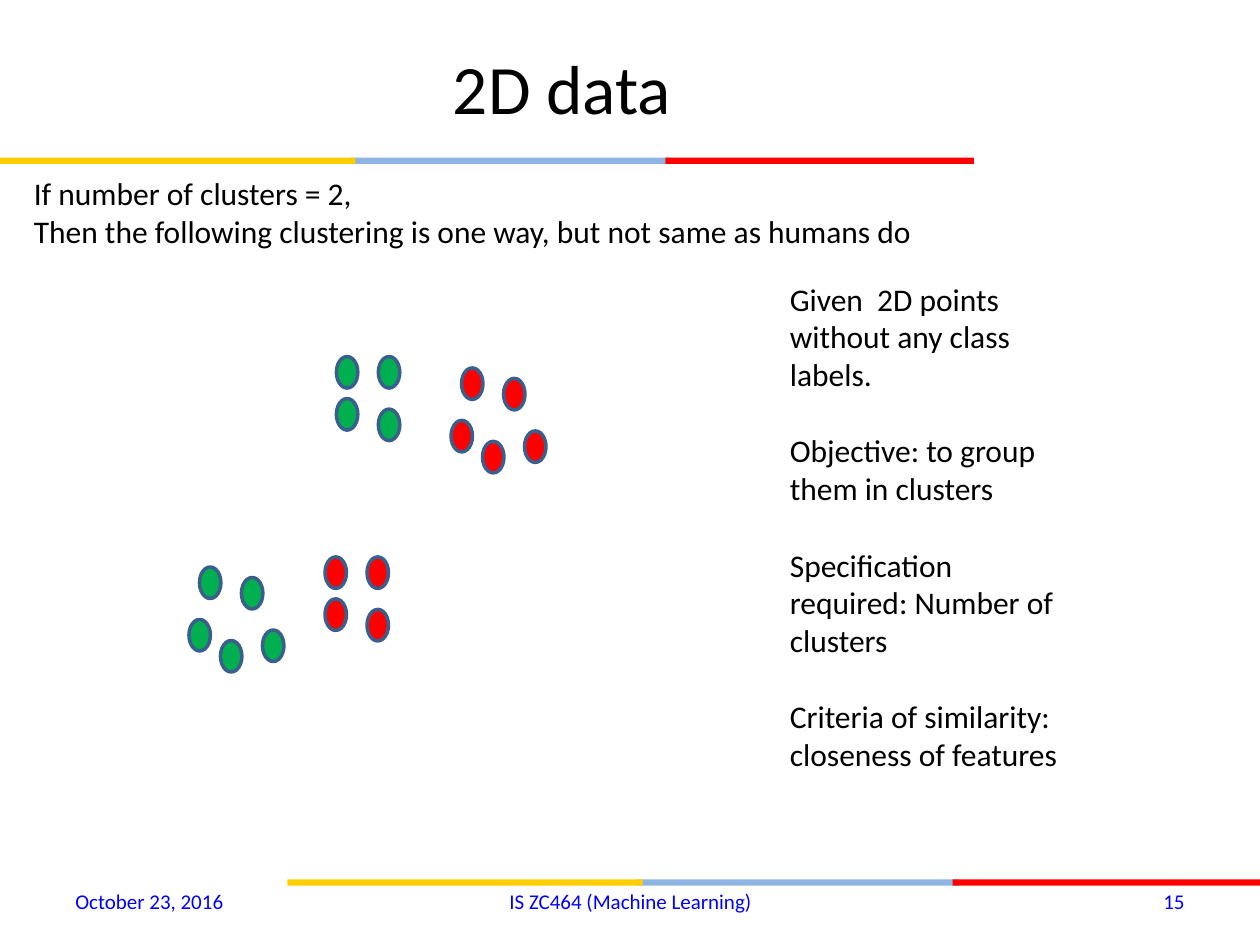
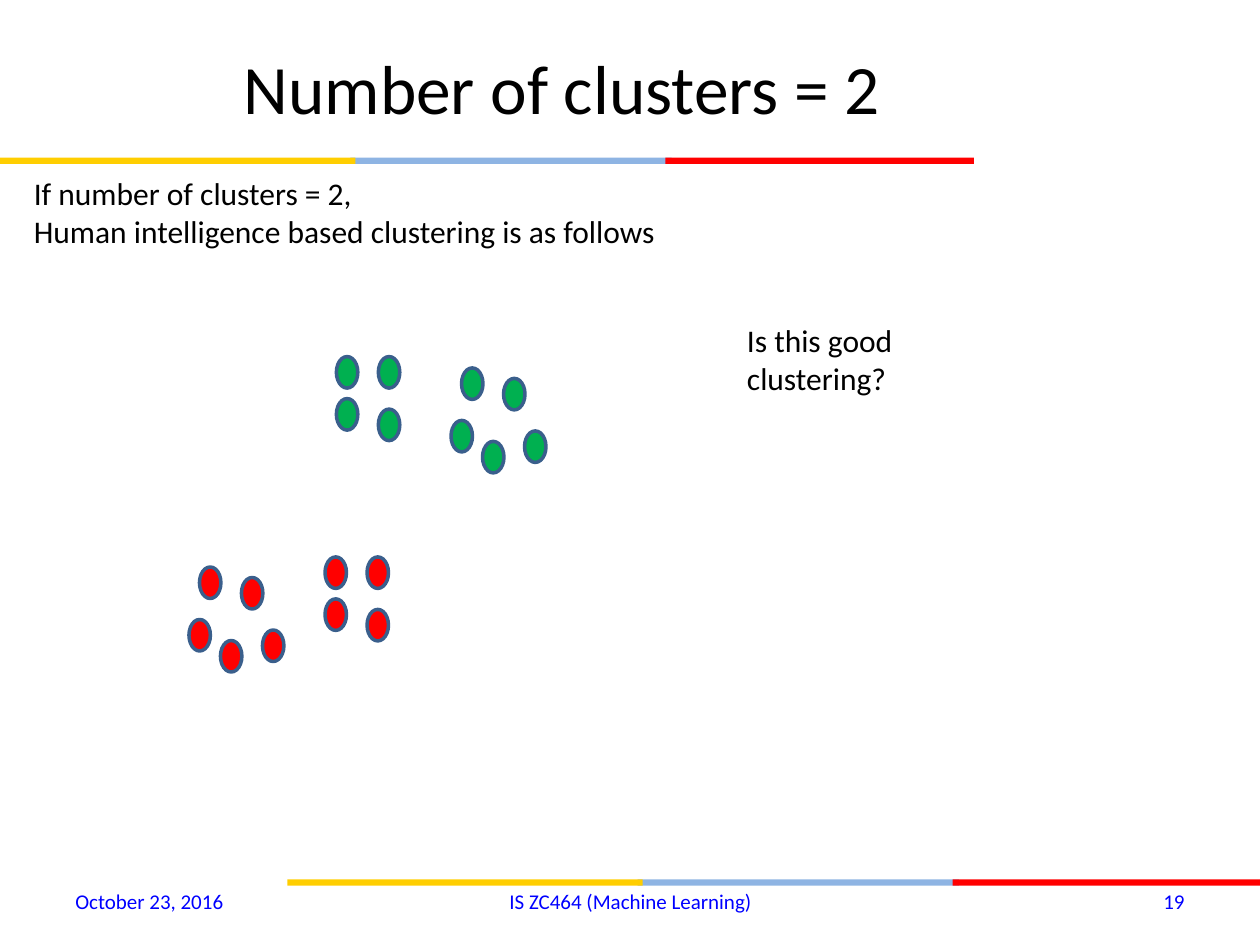
from pptx import Presentation
from pptx import util as u
from pptx.dml.color import RGBColor
from pptx.enum import shapes, text

FONT = "Calibri"
BLACK, FOOTER_BLUE = "000000", "0000FF"
YELLOW, SKY, RED = "FFCE00", "8EB4E3", "FF0000"
GREEN, OUTLINE = "00B050", "3A5F8C"
LEFT, CENTER, RIGHT = text.PP_ALIGN.LEFT, text.PP_ALIGN.CENTER, text.PP_ALIGN.RIGHT

# Offsets of the points in a cluster, in twelfths of an inch
SQUARE = [(0, 0), (4, 0), (0, 4), (4, 5)]
RING = [(0, 5), (1, 0), (5, 1), (3, 7), (7, 6)]
# Pattern and top left corner of each cluster
CLUSTERS = [(SQUARE, 2.67, 2.83), (RING, 3.58, 2.92),
            (SQUARE, 2.58, 4.42), (RING, 1.5, 4.5)]


def colour(value):
    return RGBColor.from_string(value)


def inches(*lengths):
    return [u.Inches(length) for length in lengths]


def write(frame, lines, size, shade=BLACK, align=LEFT, gap=0):
    """Fill a text frame with one paragraph per line, gap points apart."""
    for index, line in enumerate(lines):
        para = frame.paragraphs[0] if index == 0 else frame.add_paragraph()
        para.alignment = align
        if index and gap:
            para.space_before = u.Pt(gap)
        span = para.add_run()
        span.text = line
        span.font.name = FONT
        span.font.size = u.Pt(size)
        span.font.color.rgb = colour(shade)


def add_text(page, area, lines, size=18, wrap=True,
             anchor=text.MSO_ANCHOR.TOP, **style):
    frame = page.shapes.add_textbox(*inches(*area)).text_frame
    frame.word_wrap = wrap
    frame.vertical_anchor = anchor
    write(frame, lines, size, **style)


def add_solid(parent, kind, area, fill):
    """Add a filled shape without line or shadow to a page or group."""
    shape = parent.shapes.add_shape(kind, *inches(*area))
    shape.shadow.inherit = False
    shape.fill.solid()
    shape.fill.fore_color.rgb = colour(fill)
    shape.line.fill.background()
    return shape


def add_band(page, left, top):
    for offset, width, fill in [(2.78, 2.55, SKY), (5.28, 2.45, RED), (0, 2.82, YELLOW)]:
        add_solid(page, shapes.MSO_SHAPE.RECTANGLE,
                  (left + offset, top, width, 0.05), fill)


def add_title(page, title):
    box = page.shapes.title
    box.left, box.top, box.width, box.height = inches(0.5, 0.3, 7.92, 0.78)
    frame = box.text_frame
    frame.auto_size = text.MSO_AUTO_SIZE.NONE
    frame.vertical_anchor = text.MSO_ANCHOR.MIDDLE
    write(frame, [title], 39.6, align=CENTER)


def add_footer(page, number):
    for left, width, words, align in [
            (0.5, 2.33, "October 23, 2016", LEFT),
            (3.42, 3.17, "IS ZC464 (Machine Learning)", CENTER),
            (7.17, 2.33, str(number), RIGHT)]:
        add_text(page, (left, 6.95, width, 0.4), [words], size=12,
                 anchor=text.MSO_ANCHOR.MIDDLE, shade=FOOTER_BLUE, align=align)


def add_cluster(page, pattern, left, top, fill):
    group = page.shapes.add_group_shape()
    for across, down in pattern:
        area = (left + across / 12, top + down / 12, 0.17, 0.25)
        point = add_solid(group, shapes.MSO_SHAPE.OVAL, area, fill)
        point.line.color.rgb = colour(OUTLINE)
        point.line.width = u.Pt(2)


def add_cluster_page(deck, number, title, intro, fills, remarks, remarks_area):
    page = deck.slides.add_slide(deck.slide_layouts[5])
    add_band(page, 0, 1.25)
    add_band(page, 2.28, 6.98)
    add_title(page, title)
    add_footer(page, number)
    for cluster, fill in zip(CLUSTERS, fills):
        add_cluster(page, *cluster, fill)
    add_text(page, remarks_area, remarks, gap=22)
    add_text(page, (0.17, 1.33, 7.25, 0.71), intro, wrap=False)


def main():
    deck = Presentation()
    deck.slide_width, deck.slide_height = inches(10, 7.5)
    condition = "If number of clusters = 2,"
    add_cluster_page(
        deck, 15, "2D data",
        [condition, "Then the following clustering is one way, but not same as humans do"],
        [GREEN, RED, RED, GREEN],
        ["Given  2D points without any class labels.",
         "Objective: to group them in clusters",
         "Specification required: Number of clusters",
         "Criteria of similarity: closeness of features"],
        (6.17, 2.17, 2.42, 4.04))
    add_cluster_page(
        deck, 19, "Number of clusters = 2",
        [condition, "Human intelligence based clustering is as follows"],
        [GREEN, GREEN, RED, RED],
        ["Is this good clustering?"],
        (5.83, 2.5, 1.92, 0.71))
    deck.save("out.pptx")


if __name__ == "__main__":
    main()
